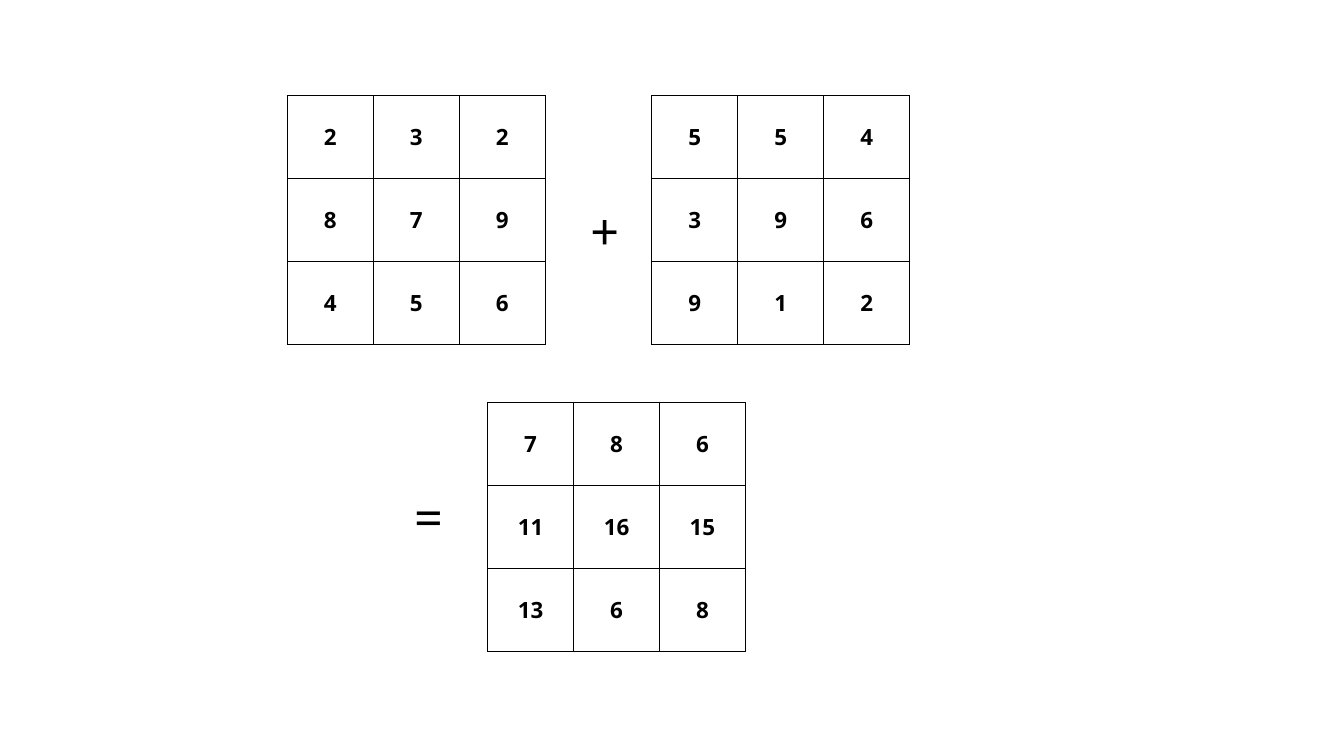
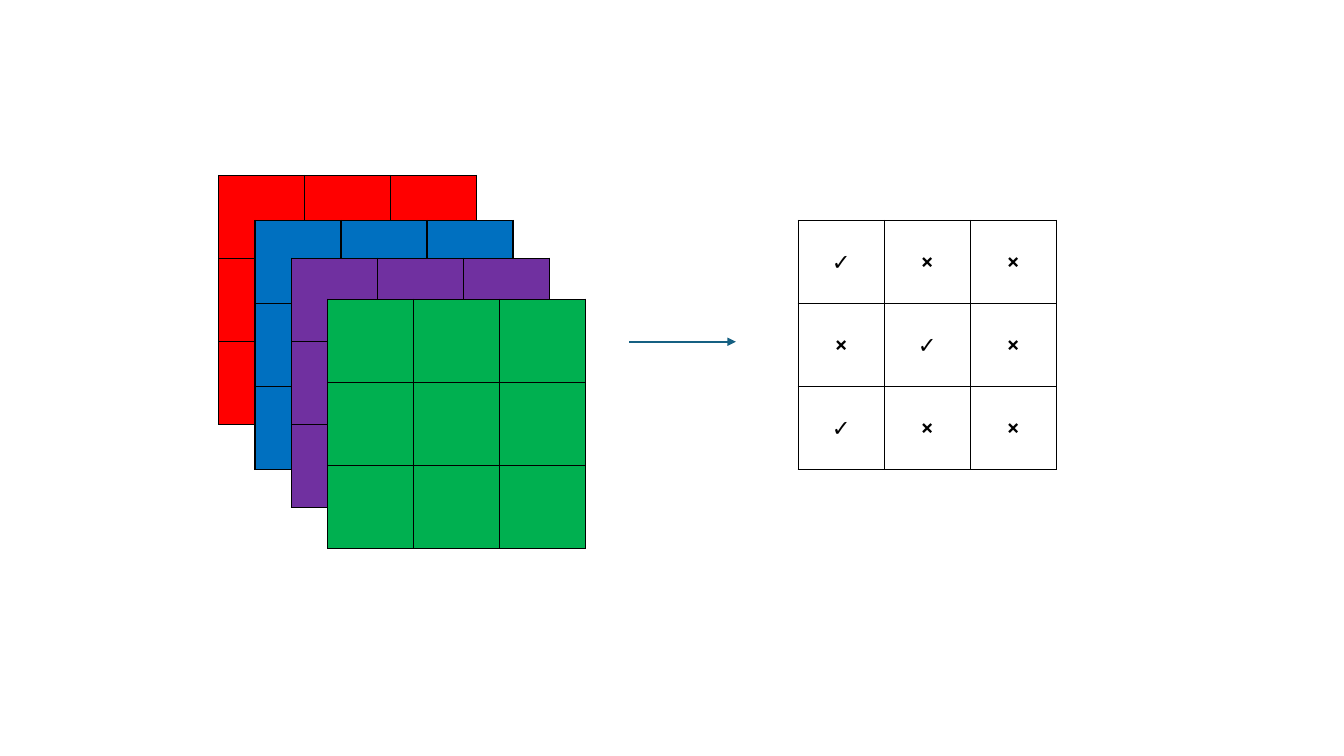
from lxml.etree import SubElement
from pptx import Presentation
from pptx.dml.color import RGBColor
from pptx.enum.shapes import MSO_CONNECTOR
from pptx.enum.text import MSO_ANCHOR, MSO_AUTO_SIZE, PP_ALIGN
from pptx.oxml.ns import qn
from pptx.util import Pt

FONT = "Noto Sans"
BLACK = "000000"
ARROW_COLOR = "156082"
CELL_WIDTH, CELL_HEIGHT = 61.4, 59.25
GRID_SIZE = 3

LAYER_LEFT, LAYER_STEP = 156.2, 26
LAYERS = [("FF0000", 125.3), ("0070C0", 157.5), ("7030A0", 184.5), ("00B050", 213.8)]


def color(hex_string):
    return RGBColor.from_string(hex_string)


def write_text(frame, text, size=16, bold=False, align=None):
    para = frame.paragraphs[0]
    para.alignment = align
    span = para.add_run()
    span.text = text
    span.font.name = FONT
    span.font.size = Pt(size)
    span.font.bold = bold
    span.font.color.rgb = color(BLACK)


def add_borders(cell, hex_string=BLACK, width=1):
    properties = cell._tc.get_or_add_tcPr()
    for side in ("lnL", "lnR", "lnT", "lnB"):
        line = SubElement(properties, qn(f"a:{side}"), w=str(Pt(width)))
        fill = SubElement(line, qn("a:solidFill"))
        SubElement(fill, qn("a:srgbClr"), val=hex_string)


def add_grid(page, left, top, rows=None, fill=None):
    """Add a square table; rows holds one string of space-separated values per row."""
    table = page.shapes.add_table(
        GRID_SIZE, GRID_SIZE, Pt(left), Pt(top),
        Pt(CELL_WIDTH * GRID_SIZE), Pt(CELL_HEIGHT * GRID_SIZE)).table
    table.first_row = table.horz_banding = False
    for column in table.columns:
        column.width = Pt(CELL_WIDTH)
    for row in table.rows:
        row.height = Pt(CELL_HEIGHT)
    for cell in table.iter_cells():
        add_borders(cell)
        if fill:
            cell.fill.solid()
            cell.fill.fore_color.rgb = color(fill)
        else:
            cell.fill.background()
    for row_index, row_text in enumerate(rows or []):
        for column_index, value in enumerate(row_text.split()):
            cell = table.cell(row_index, column_index)
            cell.vertical_anchor = MSO_ANCHOR.MIDDLE
            write_text(cell.text_frame, value, bold=True, align=PP_ALIGN.CENTER)


def add_operator(page, symbol, left, top):
    box = page.shapes.add_textbox(Pt(left), Pt(top), Pt(33.8), Pt(51))
    box.text_frame.word_wrap = False
    box.text_frame.auto_size = MSO_AUTO_SIZE.SHAPE_TO_FIT_TEXT
    write_text(box.text_frame, symbol, size=36)


def add_arrow(page, left, right, y):
    arrow = page.shapes.add_connector(
        MSO_CONNECTOR.STRAIGHT, Pt(left), Pt(y), Pt(right), Pt(y))
    arrow.line.color.rgb = color(ARROW_COLOR)
    arrow.line.width = Pt(1.5)
    SubElement(arrow.line._get_or_add_ln(), qn("a:tailEnd"), type="triangle")
    SubElement(arrow._element.spPr, qn("a:effectLst"))


def build_matrix_sum(page):
    add_grid(page, 205.2, 68.4, ["2 3 2", "8 7 9", "4 5 6"])
    add_grid(page, 465.6, 68.4, ["5 5 4", "3 9 6", "9 1 2"])
    add_grid(page, 348.3, 287.5, ["7 8 6", "11 16 15", "13 6 8"])
    add_operator(page, "+", 414.7, 139.7)
    add_operator(page, "=", 288.7, 343.4)


def build_layer_mask(page):
    for index, (fill, top) in enumerate(LAYERS):
        add_grid(page, LAYER_LEFT + index * LAYER_STEP, top, fill=fill)
    add_arrow(page, 449.3, 525.6, 244.1)
    add_grid(page, 570.2, 157.5, ["✓ × ×", "× ✓ ×", "✓ × ×"])


def main():
    deck = Presentation()
    deck.slide_width, deck.slide_height = Pt(960), Pt(540)
    blank = deck.slide_layouts[6]
    for build in (build_matrix_sum, build_layer_mask):
        build(deck.slides.add_slide(blank))
    deck.save("out.pptx")


if __name__ == "__main__":
    main()
